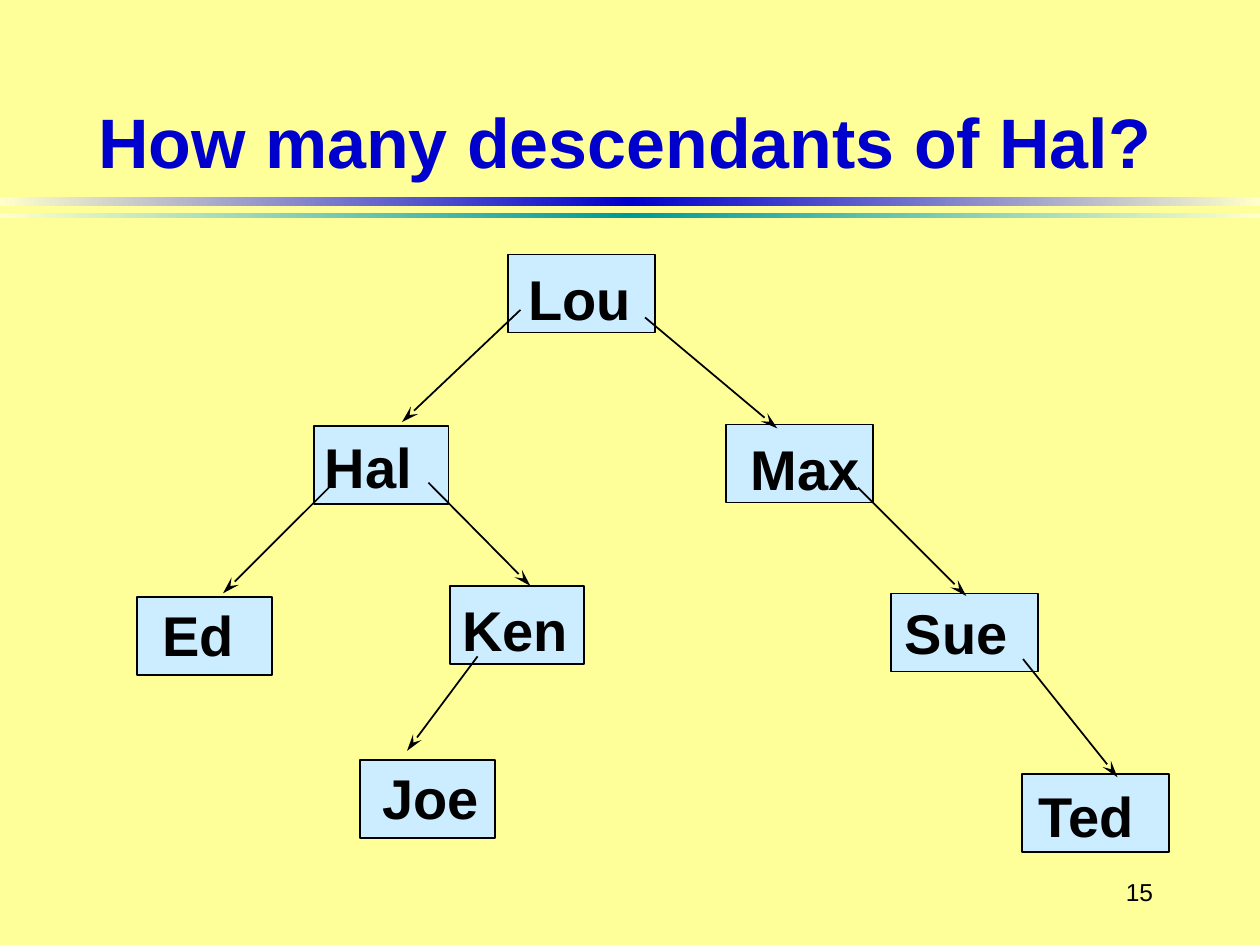
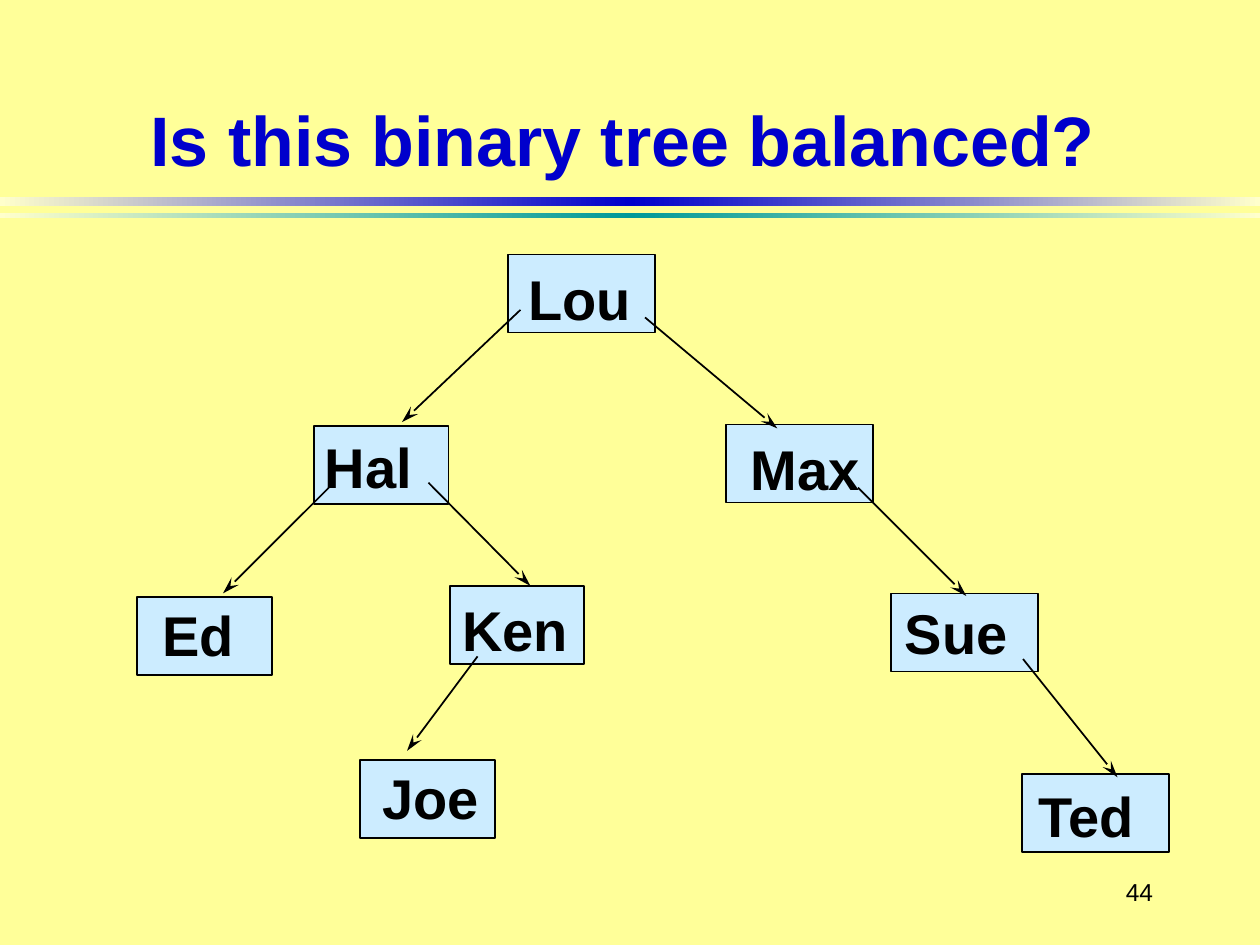
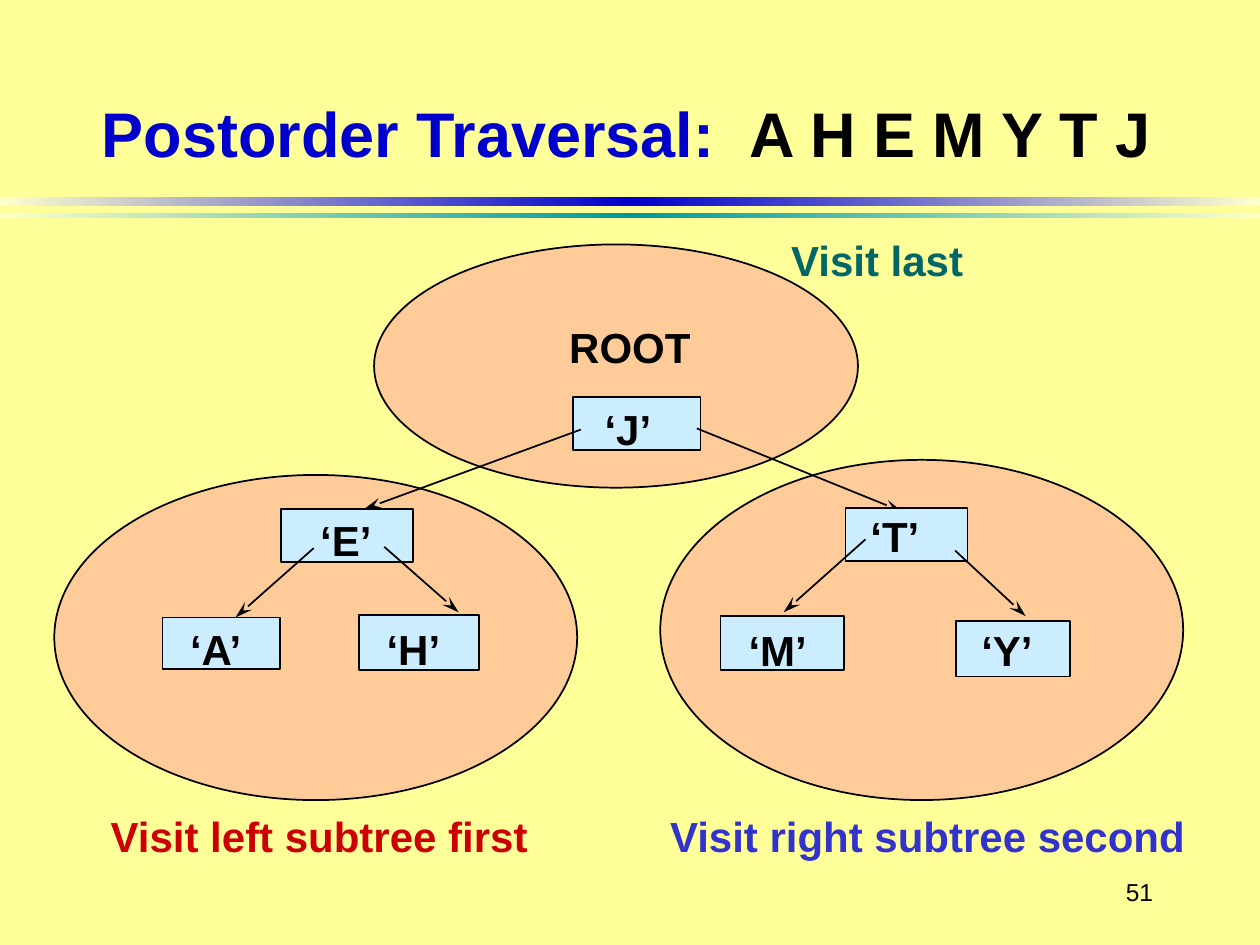
from copy import deepcopy

from pptx import Presentation
from pptx.dml.color import RGBColor
from pptx.enum.shapes import MSO_CONNECTOR, MSO_SHAPE
from pptx.enum.text import MSO_ANCHOR, PP_ALIGN
from pptx.oxml.ns import qn
from pptx.util import Pt

RECTANGLE, OVAL = MSO_SHAPE.RECTANGLE, MSO_SHAPE.OVAL
STRAIGHT = MSO_CONNECTOR.STRAIGHT
TOP, MIDDLE, BOTTOM = MSO_ANCHOR.TOP, MSO_ANCHOR.MIDDLE, MSO_ANCHOR.BOTTOM
LEFT, CENTER, RIGHT = PP_ALIGN.LEFT, PP_ALIGN.CENTER, PP_ALIGN.RIGHT

FONT = "Arial"
BLACK, BLUE, TEAL = "000000", "0000CC", "009999"
PAPER, BAND_EDGE = "FFFF99", "FFFFCC"
NODE_FILL, SUBTREE_FILL = "CCECFF", "FFCC99"
PAGE_WIDTH, PAGE_HEIGHT = 720, 540
BANDS = [(112.5, 5.5, BLUE), (121.5, 3, TEAL)]

# name: (box left, top, width), (label left, top)
FAMILY_NODE_HEIGHT = 44.6
FAMILY = {
    "Lou": ((290.2, 145.4, 84.2), (294.9, 147.6)),
    "Hal": ((179.3, 243.4, 77), (178.6, 243.4)),
    "Max": ((414.7, 242.6, 84.2), (421.8, 244.8)),
    "Sue": ((509, 339.1, 84.2), (510, 338.4)),
    "Ted": ((583.9, 442.1, 84.2), (586.5, 442.8)),
    "Ed": ((78.5, 341.3, 77), (85.5, 339.8)),
    "Ken": ((257, 334.8, 77), (257, 337)),
    "Joe": ((205.9, 434.2, 77), (211.5, 432.7)),
}
# (child x, y), (parent x, y)
FAMILY_LINKS = [
    ((444.2, 244.8), (368.6, 181.4)),
    ((552.2, 340.6), (490.3, 278.6)),
    ((638.6, 444.2), (584.6, 376.6)),
    ((303.1, 334.8), (244.8, 275.8)),
    ((127.4, 339.1), (189.4, 277.2)),
    ((232.6, 429.1), (272.9, 375.1)),
    ((229.7, 241.2), (297.4, 177.1)),
]

SUBTREES = [
    (377.3, 262.8, 298.8, 194.4),
    (213.8, 139.7, 276.5, 139),
    (31, 271.4, 298.8, 185.8),
]
# letter: (box left, top, width, height), (label left, top)
ROOT_AND_LEFT = {
    "‘E’": ((160.6, 290.9, 75.6, 30.2), (175.9, 290.2)),
    "‘A’": ((92.9, 352.8, 67, 29.5), (101.5, 352.8)),
    "‘H’": ((205.2, 351.4, 68.4, 31.7), (213.8, 352.8)),
    "‘J’": ((327.6, 226.8, 72.7, 30.2), (338.4, 226.8)),
}
ROOT_AND_LEFT_LINKS = [
    ((515.5, 292.3), (398.2, 244.8)),
    ((262.1, 349.9), (219.6, 312.5)),
    ((134.6, 352.8), (179.3, 313.2)),
    ((208.1, 290.9), (331.9, 245.5)),
]
RIGHT_SUBTREE = {
    "‘T’": ((483.1, 290.2, 69.8, 30.2), (490.3, 288)),
    "‘M’": ((411.8, 352.1, 70.6, 31), (420.7, 353.5)),
    "‘Y’": ((546.5, 355, 64.8, 31.7), (553.7, 353.5)),
}
RIGHT_SUBTREE_LINKS = [
    ((586.1, 352.1), (545.8, 314.6)),
    ((447.8, 349.9), (494.6, 308.2)),
]
# text, left, top, width, colour
CAPTIONS = [
    ("ROOT", 318.2, 180, 90, BLACK),
    ("Visit left subtree first", 56.2, 459.4, 260, "CC0000"),
    ("Visit right subtree second", 375.8, 459.4, 320, "3333CC"),
    ("Visit last", 445, 130.3, 120, "006666"),
]


def rgb(hex_colour):
    return RGBColor.from_string(hex_colour)


class TreeDeck:
    """Holds the deck, its style and the page being drawn."""

    def __init__(self):
        self.deck = Presentation()
        self.deck.slide_width = Pt(PAGE_WIDTH)
        self.deck.slide_height = Pt(PAGE_HEIGHT)
        background = self.deck.slide_master.background.fill
        background.solid()
        background.fore_color.rgb = rgb(PAPER)
        self.page = None

    def add_page(self, number):
        self.page = self.deck.slides.add_slide(self.deck.slide_layouts[6])
        for top, height, colour in BANDS:
            self.band(top, height, colour)
        self.text([(str(number), BLACK)], (616, 491.8, 50, 36), 14,
                  bold=False, align=RIGHT, anchor=MIDDLE)

    def band(self, top, height, colour):
        """Full-width stripe that fades out at both ends."""
        band = self.page.shapes.add_shape(
            RECTANGLE, 0, Pt(top), Pt(PAGE_WIDTH), Pt(height))
        band.shadow.inherit = False
        band.line.fill.background()
        band.fill.gradient()
        stop_list = band._element.find(".//" + qn("a:gsLst"))
        stop_list.append(deepcopy(stop_list[0]))
        colours = (BAND_EDGE, colour, BAND_EDGE)
        for index, stop in enumerate(band.fill.gradient_stops):
            stop.position = index / 2
            stop.color.rgb = rgb(colours[index])
        band.fill.gradient_angle = 0

    def shape(self, kind, frame, colour):
        shape = self.page.shapes.add_shape(kind, *map(Pt, frame))
        shape.shadow.inherit = False
        shape.fill.solid()
        shape.fill.fore_color.rgb = rgb(colour)
        shape.line.color.rgb = rgb(BLACK)
        shape.line.width = Pt(1)

    def text(self, spans, frame, size, bold=True, align=LEFT, anchor=TOP):
        """One paragraph made of (words, colour) spans."""
        box = self.page.shapes.add_textbox(*map(Pt, frame))
        box.text_frame.word_wrap = True
        box.text_frame.vertical_anchor = anchor
        para = box.text_frame.paragraphs[0]
        para.alignment = align
        para.font.name = FONT
        para.font.size = Pt(size)
        para.font.bold = bold
        for words, colour in spans:
            span = para.add_run()
            span.text = words
            span.font.color.rgb = rgb(colour)

    def title(self, spans, frame, size=40):
        self.text(spans, frame, size, align=CENTER, anchor=BOTTOM)

    def link(self, child, parent):
        """Line between two nodes with its arrowhead at the child."""
        link = self.page.shapes.add_connector(
            STRAIGHT, *map(Pt, (*child, *parent)))
        link.line.color.rgb = rgb(BLACK)
        link.line.width = Pt(1)
        properties = link._element.spPr
        head = properties.find(qn("a:ln")).makeelement(
            qn("a:headEnd"), {"type": "stealth", "w": "med", "len": "lg"})
        properties.find(qn("a:ln")).append(head)
        properties.append(properties.makeelement(qn("a:effectLst"), {}))

    def links(self, pairs):
        for child, parent in pairs:
            self.link(child, parent)

    def family_tree(self):
        for box, _ in FAMILY.values():
            self.shape(RECTANGLE, (*box, FAMILY_NODE_HEIGHT), NODE_FILL)
        self.links(FAMILY_LINKS)
        for name, (_, corner) in FAMILY.items():
            self.text([(name, BLACK)], (*corner, 90, 45.4), 32)

    def letter_tree(self, nodes, pairs):
        for box, _ in nodes.values():
            self.shape(RECTANGLE, box, NODE_FILL)
        self.links(pairs)
        for letter, (_, corner) in nodes.items():
            self.text([(letter, BLACK)], (*corner, 60, 36), 24)


def main():
    tree = TreeDeck()

    tree.add_page(15)
    tree.family_tree()
    tree.title([("How many descendants of Hal?", BLUE)], (48, 18, 618, 90))

    tree.add_page(44)
    tree.title([("Is this binary tree balanced?", BLUE)],
               (46.8, 16.5, 618, 90))
    tree.family_tree()

    tree.add_page(51)
    for frame in SUBTREES:
        tree.shape(OVAL, frame, SUBTREE_FILL)
    tree.letter_tree(ROOT_AND_LEFT, ROOT_AND_LEFT_LINKS)
    tree.letter_tree(RIGHT_SUBTREE, RIGHT_SUBTREE_LINKS)
    for words, left, top, width, colour in CAPTIONS:
        tree.text([(words, colour)], (left, top, width, 36), 24)
    tree.title([("Postorder Traversal:  ", BLUE), ("A H E M Y T J", BLACK)],
               (23, 10.5, 670, 90), 36)

    tree.deck.save("out.pptx")


if __name__ == "__main__":
    main()
